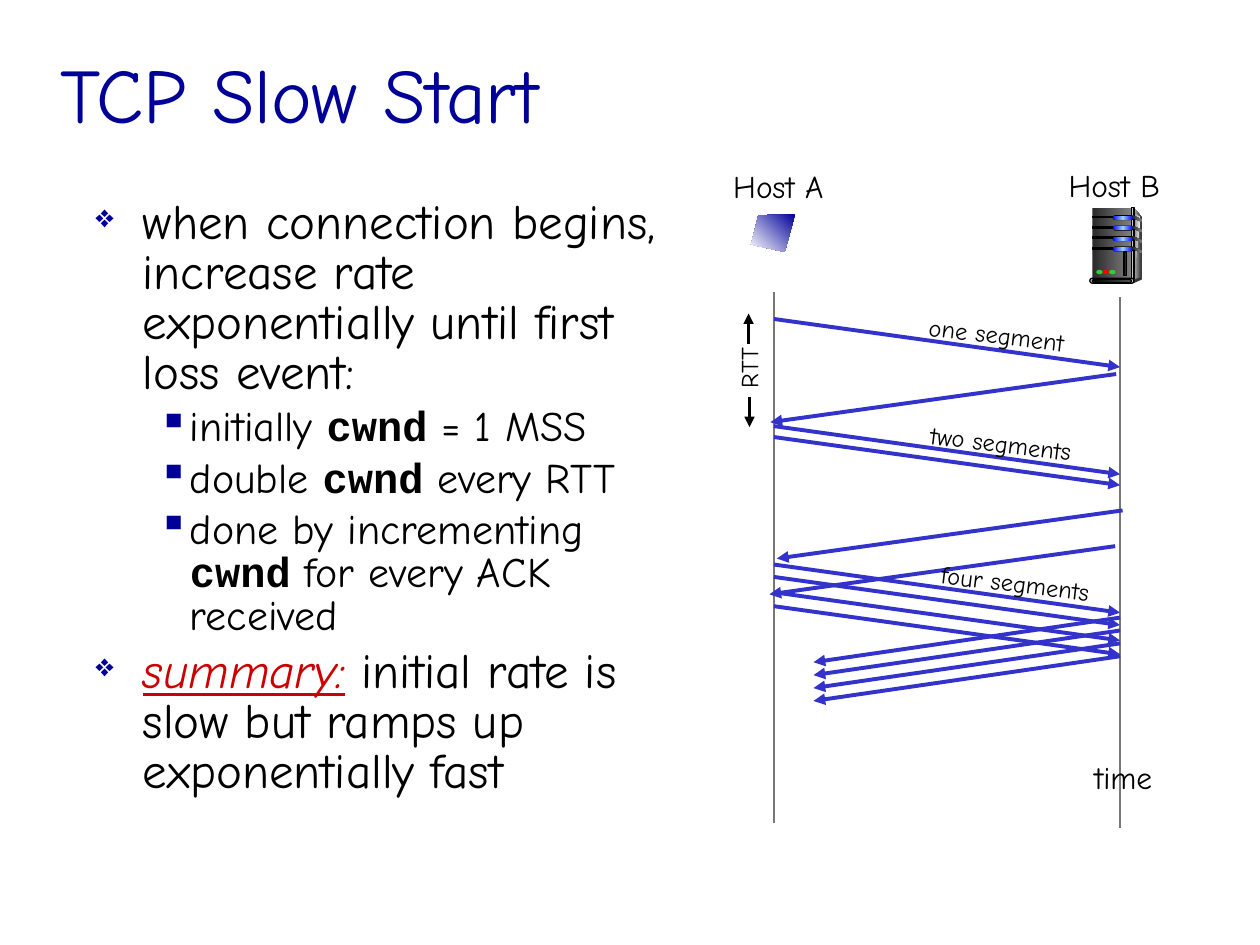
from copy import deepcopy

from lxml import etree
from pptx import Presentation, util as u
from pptx.dml.color import RGBColor
from pptx.enum import shapes, text
from pptx.oxml import ns

COLORS = {
    "navy": "000099", "red": "CC0000", "arrow": "3333CC", "axis": "777777",
    "black": "000000", "white": "FFFFFF", "dark": "333333", "case": "292929",
    "grey": "808080", "pale": "F8F8F8", "silver": "DDDDDD",
    "blue": "0000FF", "sky": "99CCFF", "green": "33CC33", "bright red": "FF0000",
}
RECT = shapes.MSO_SHAPE.RECTANGLE
PILL = shapes.MSO_SHAPE.ROUNDED_RECTANGLE
OVAL = shapes.MSO_SHAPE.OVAL
CODE = {"name": "Courier New", "bold": True}


def rgb(name):
    return RGBColor.from_string(COLORS[name])


class SlideBuilder:
    font_name = "Comic Neue"

    def __init__(self, slide):
        self.slide = slide

    def style(self, paragraph, size, color="black"):
        paragraph.font.name = self.font_name
        paragraph.font.size = u.Pt(size)
        paragraph.font.color.rgb = rgb(color)

    def box(self, left, top, width, height):
        return self.slide.shapes.add_textbox(u.Cm(left), u.Cm(top), u.Cm(width), u.Cm(height))

    def title(self, words, *place):
        frame = self.box(*place).text_frame
        frame.word_wrap = True
        frame.vertical_anchor = text.MSO_ANCHOR.MIDDLE
        frame.text = words
        self.style(frame.paragraphs[0], 44, "navy")

    def label(self, words, *place, size=18, rotation=0):
        shape = self.box(*place)
        shape.rotation = rotation
        frame = shape.text_frame
        frame.word_wrap = False
        frame.auto_size = text.MSO_AUTO_SIZE.SHAPE_TO_FIT_TEXT
        frame.text = words
        frame.paragraphs[0].alignment = text.PP_ALIGN.CENTER
        self.style(frame.paragraphs[0], size)

    def bullets(self, items, *place):
        frame = self.box(*place).text_frame
        frame.word_wrap = True
        for index, (level, runs) in enumerate(items):
            paragraph = frame.paragraphs[0] if index == 0 else frame.add_paragraph()
            size, margin, indent, mark, scale = [
                (28, 0.95, -0.95, "❖", 65), (24, 1.9, -0.64, "▪", 100)][level]
            paragraph.level = level
            paragraph.line_spacing = 0.85
            if index:
                paragraph.space_before = u.Pt(size * 0.2)
            properties = paragraph._p.get_or_add_pPr()
            properties.set("marL", str(u.Cm(margin)))
            properties.set("indent", str(u.Cm(indent)))
            bullet_color = etree.SubElement(properties, ns.qn("a:buClr"))
            etree.SubElement(bullet_color, ns.qn("a:srgbClr"), val=COLORS["navy"])
            etree.SubElement(properties, ns.qn("a:buSzPct"), val=str(scale * 1000))
            etree.SubElement(properties, ns.qn("a:buChar"), char=mark)
            self.style(paragraph, size)
            for words, changes in runs:
                run = paragraph.add_run()
                run.text = words
                for key, value in changes.items():
                    if key == "color":
                        run.font.color.rgb = rgb(value)
                    else:
                        setattr(run.font, key, value)

    def line(self, start, end, color="arrow", width=2.25, arrow=True):
        connector = self.slide.shapes.add_connector(
            shapes.MSO_CONNECTOR.STRAIGHT, *[u.Cm(value) for value in (*start, *end)])
        connector.line.color.rgb = rgb(color)
        connector.line.width = u.Pt(width)
        if arrow:
            etree.SubElement(connector.line._get_or_add_ln(), ns.qn("a:tailEnd"), type="triangle")
        etree.SubElement(connector._element.spPr, ns.qn("a:effectLst"))

    def paint(self, shape, colors, angle=0, outline=False):
        """Fill with one colour, or with a gradient of evenly spaced colours."""
        shape.shadow.inherit = False
        if len(colors) == 1:
            shape.fill.solid()
            shape.fill.fore_color.rgb = rgb(colors[0])
        else:
            shape.fill.gradient()
            shape.fill.gradient_angle = angle
            stop_list = shape._element.spPr.find(".//" + ns.qn("a:gsLst"))
            while len(stop_list) < len(colors):
                stop_list.append(deepcopy(stop_list[0]))
            for index, stop in enumerate(shape.fill.gradient_stops):
                stop.position = index / (len(colors) - 1)
                stop.color.rgb = rgb(colors[index])
        if outline:
            shape.line.color.rgb = rgb("black")
            shape.line.width = u.Pt(0.75)
        else:
            shape.line.fill.background()

    def shape(self, kind, left, top, width, height, *colors, outline=False):
        shape = self.slide.shapes.add_shape(
            kind, u.Cm(left), u.Cm(top), u.Cm(width), u.Cm(height))
        if kind == PILL:
            shape.adjustments[0] = 0.5
        self.paint(shape, colors, outline=outline)

    def polygon(self, points, *colors, angle=0):
        points = [(u.Cm(x), u.Cm(y)) for x, y in points]
        builder = self.slide.shapes.build_freeform(*points[0], scale=1.0)
        builder.add_line_segments(points[1:], close=True)
        self.paint(builder.convert_to_shape(), colors, angle)


def draw_server(page):
    # Case
    page.polygon([(22.86, 4.19), (23.01, 4.37), (23.01, 5.59), (22.81, 5.64)], "silver", "dark")
    page.shape(RECT, 22.02, 4.19, 0.79, 1.45, "case", "grey")
    page.polygon([(22.86, 4.29), (22.99, 4.39), (22.91, 5.1), (22.86, 5.61)], "grey", "pale")
    page.shape(RECT, 22.81, 4.19, 0.05, 1.45, "dark", "silver", "dark", outline=True)
    # Drive rows with side vents
    for row in range(4):
        top = 4.34 + 0.21 * row
        page.shape(RECT, 22.02, top + 0.02, 0.46, 0.03, "black", outline=True)
        page.shape(PILL, 22.43, top, 0.43, 0.1, "black")
        page.shape(PILL, 22.43, top + 0.01, 0.41, 0.08, "blue", "sky", "blue")
        page.polygon([(22.83, top), (23.01, top + 0.08), (23.01, top + 0.13),
                      (22.83, top + 0.05)], "case", "grey")
    # Base
    page.shape(OVAL, 22.99, 5.59, 0.03, 0.05, "dark")
    page.polygon([(22.83, 5.64), (22.83, 5.72), (23.01, 5.64), (23.01, 5.59)], "dark")
    page.shape(PILL, 21.97, 5.61, 0.89, 0.1, "silver", outline=True)
    page.shape(PILL, 22.02, 5.64, 0.79, 0.05, "black", "grey", outline=True)
    # Lights and front slot
    for index, color in enumerate(("green", "bright red", "green")):
        page.shape(OVAL, 22.1 + 0.13 * index, 5.44, 0.13, 0.09, color)
    page.shape(RECT, 22.66, 5.08, 0.05, 0.48, "case", outline=True)


def main():
    presentation = Presentation()
    presentation.slide_width, presentation.slide_height = u.Cm(25.4), u.Cm(19.05)
    page = SlideBuilder(presentation.slides.add_slide(presentation.slide_layouts[6]))

    # Title and bullets
    page.title("TCP Slow Start", 0.97, 0.41, 21.59, 2.9)
    page.bullets([
        (0, [("when connection begins, increase rate exponentially until first loss event:", {})]),
        (1, [("initially ", {}), ("cwnd", CODE), (" = 1 MSS", {})]),
        (1, [("double ", {}), ("cwnd", CODE), (" every RTT", {})]),
        (1, [("done by incrementing ", {}), ("cwnd", CODE), (" for every ACK received", {})]),
        (0, [("summary:", {"color": "red", "italic": True, "underline": True}),
             (" ", {"color": "red", "italic": True}),
             ("initial rate is slow but ramps up exponentially fast", {})]),
    ], 1.68, 3.89, 11.81, 12.9)

    # Time axes of the two hosts
    host_a, host_b, drop = 15.6, 22.58, 0.97
    for x, top in ((host_a, 5.89), (host_b, 5.99)):
        page.line((x, top), (x, top + 10.7), "axis", 1.5, arrow=False)

    # Segments from A to B, then acknowledgements back
    for y in (6.43, 8.59, 8.81, 11.38, 11.63, 11.94, 12.22):
        page.line((host_a, y), (host_b, y + drop))
    for x, y in ((22.5, 7.54), (22.63, 10.29), (22.48, 11.01)):
        page.line((x, y), (x - 6.97, y + drop))
    for index in range(4):
        y = 12.45 + 0.26 * index
        page.line((host_b, y), (16.4, y + 0.9))

    # Round-trip time
    page.line((15.09, 6.93), (15.09, 6.32), "black", 1.5)
    page.line((15.11, 8), (15.11, 8.61), "black", 1.5)
    page.label("RTT", 14.35, 6.99, 1.5, 0.86, size=14, rotation=270)

    # Labels
    page.label("Host A", 14.38, 3.25, 2.62, 1.02)
    page.label("Host B", 21.18, 3.23, 2.57, 1.02)
    page.label("time", 21.72, 15.16, 1.85, 1.02)
    for words, left, top, width in (("one segment", 18.39, 6.32, 3.4),
                                    ("two segments", 18.34, 8.51, 3.68),
                                    ("four segments", 18.54, 11.33, 3.86)):
        page.label(words, left, top, width, 0.86, size=14, rotation=6.8)

    # Host icons
    page.polygon([(16.03, 4.32), (15.29, 4.34), (15.14, 4.93), (15.82, 5.08)],
                 "navy", "white", angle=225)
    draw_server(page)

    presentation.save("out.pptx")


if __name__ == "__main__":
    main()
